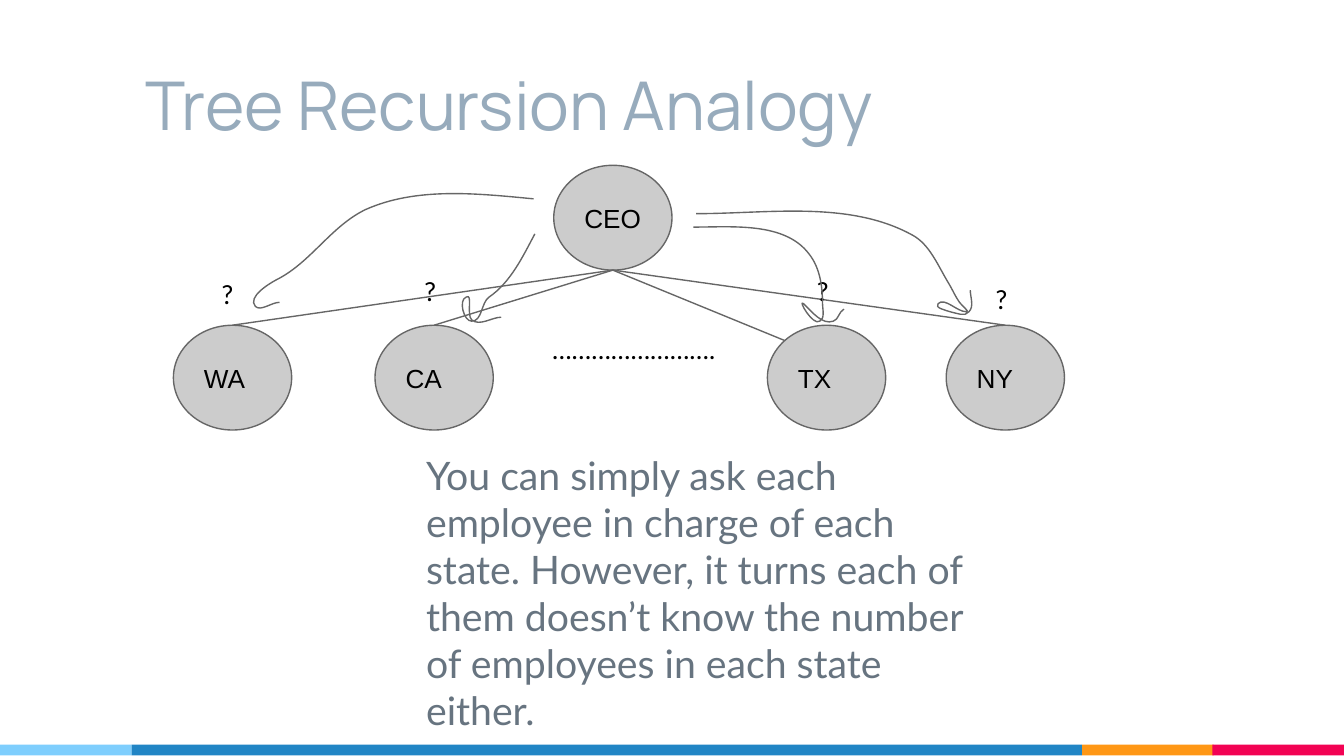
"""Build the tree recursion analogy slide: a CEO node asking four state nodes."""
from dataclasses import dataclass

from lxml import etree
from pptx import Presentation
from pptx import util as u
from pptx.dml.color import RGBColor
from pptx.enum import shapes, text
from pptx.oxml.ns import qn


@dataclass(frozen=True)
class Theme:
    title: str = "97ABBC"
    body: str = "677480"
    ink: str = "000000"
    node: str = "CCCCCC"
    line: str = "666666"
    title_font: str = "Manrope"
    body_font: str = "Lato"
    node_font: str = "Arial"
    title_size: int = 36
    body_size: int = 21
    label_size: int = 14
    line_width: float = 0.75


@dataclass(frozen=True)
class Bar:
    left: float
    width: float
    color: str


@dataclass(frozen=True)
class Node:
    label: str
    left: float
    top: float

    @property
    def center(self) -> float:
        return self.left + NODE_W / 2


@dataclass(frozen=True)
class Label:
    text: str
    left: float
    top: float
    width: float = 0.35
    height: float = 0.41


THEME = Theme()
SLIDE_W = 10
SLIDE_H = SLIDE_W * 9 / 16
NODE_W, NODE_H = 0.88, 0.78
BAR_TOP, BAR_H = 5.54, 0.08
STATE_TOP = 2.42
DIAGONAL = 0.5 ** 0.5

BARS = [
    Bar(8.05, 0.98, "FF9715"),
    Bar(9.02, 0.98, "F20253"),
    Bar(0, 0.98, "7ECEFD"),
    Bar(0.98, 7.07, "2185C5"),
]
CEO = Node("CEO", 4.12, 1.23)
WA, CA, TX, NY = STATES = [
    Node(name, left, STATE_TOP)
    for name, left in [("WA", 1.29), ("CA", 2.79), ("TX", 5.71), ("NY", 7.04)]
]
LABELS = [
    Label("…………………….", 4.01, 2.38, 1.54, 0.51),
    Label("?", 1.55, 1.97),
    Label("?", 3.06, 1.95),
    Label("?", 5.98, 1.95),
    Label("?", 7.31, 2.01),
]
ASK_CURVES = [
    [(3.97, 1.48), (3.55, 1.44), (3.1, 1.39), (2.72, 1.56),
     (2.47, 1.68), (2.32, 1.94), (2.08, 2.07),
     (2, 2.11), (1.84, 2.21), (1.9, 2.28), (1.94, 2.32), (2.02, 2.25), (2.08, 2.25)],
    [(3.98, 1.74), (3.89, 1.91), (3.8, 2.1), (3.64, 2.21),
     (3.58, 2.25), (3.59, 2.39), (3.51, 2.39), (3.45, 2.39), (3.41, 2.23), (3.47, 2.21),
     (3.52, 2.18), (3.47, 2.34), (3.51, 2.38), (3.57, 2.43), (3.66, 2.36), (3.73, 2.36)],
    [(5.16, 1.69), (5.45, 1.69), (5.84, 1.65), (6.02, 1.89),
     (6.1, 1.99), (6.12, 2.13), (6.12, 2.25), (6.12, 2.3), (6.14, 2.37), (6.1, 2.39),
     (6.05, 2.43), (5.93, 2.22), (5.98, 2.26), (6.04, 2.32), (6.12, 2.42), (6.2, 2.39),
     (6.24, 2.38), (6.24, 2.32), (6.28, 2.3)],
    [(5.18, 1.59), (5.72, 1.59), (6.32, 1.49), (6.79, 1.75),
     (6.92, 1.82), (6.98, 1.98), (7.06, 2.11), (7.09, 2.16), (7.11, 2.21), (7.14, 2.25),
     (7.16, 2.28), (7.22, 2.32), (7.19, 2.32), (7.12, 2.32), (7.03, 2.21), (6.98, 2.26),
     (6.95, 2.29), (7.04, 2.31), (7.07, 2.32), (7.12, 2.33), (7.18, 2.36), (7.21, 2.32),
     (7.25, 2.28), (7.22, 2.21), (7.22, 2.16)],
]


def box(left: float, top: float, width: float, height: float) -> list:
    """Return a position and size as lengths."""
    return [u.Inches(v) for v in (left, top, width, height)]


def write(sp, content: str, font: str, size: int, color: str, anchor) -> None:
    """Fill a shape with one left-aligned, formatted paragraph."""
    tf = sp.text_frame
    tf.text = content
    tf.word_wrap = True
    tf.auto_size = text.MSO_AUTO_SIZE.NONE
    tf.vertical_anchor = anchor
    tf.margin_left = tf.margin_right = tf.margin_top = tf.margin_bottom = u.Inches(0.1)
    p = tf.paragraphs[0]
    p.alignment = text.PP_ALIGN.LEFT
    p.space_before = u.Pt(0)
    r = p.runs[0]
    r.font.name, r.font.size = font, u.Pt(size)
    r.font.color.rgb = RGBColor.from_string(color)


def outline(sp) -> None:
    """Give a shape or connector the thin diagram line."""
    sp.line.color.rgb = RGBColor.from_string(THEME.line)
    sp.line.width = u.Pt(THEME.line_width)


def place(sp, left: float, top: float, width: float, height: float) -> None:
    """Move and size a placeholder."""
    sp.left, sp.top, sp.width, sp.height = box(left, top, width, height)


def draw_bar(s, bar: Bar) -> None:
    """Draw one segment of the footer strip."""
    sp = s.shapes.add_shape(shapes.MSO_SHAPE.RECTANGLE, *box(bar.left, BAR_TOP, bar.width, BAR_H))
    sp.shadow.inherit = False
    sp.fill.solid()
    sp.fill.fore_color.rgb = RGBColor.from_string(bar.color)
    sp.line.fill.background()


def draw_node(s, node: Node) -> None:
    """Draw one labelled tree node."""
    sp = s.shapes.add_shape(shapes.MSO_SHAPE.OVAL, *box(node.left, node.top, NODE_W, NODE_H))
    sp.shadow.inherit = False
    sp.fill.solid()
    sp.fill.fore_color.rgb = RGBColor.from_string(THEME.node)
    outline(sp)
    write(sp, node.label, THEME.node_font, THEME.label_size, THEME.ink, text.MSO_ANCHOR.MIDDLE)


def draw_label(s, label: Label) -> None:
    """Draw one free-standing label."""
    sp = s.shapes.add_textbox(*box(label.left, label.top, label.width, label.height))
    write(sp, label.text, THEME.body_font, THEME.label_size, THEME.ink, text.MSO_ANCHOR.TOP)


def draw_branch(s, x: float, y: float) -> None:
    """Draw a tree edge from the bottom of the CEO node."""
    ends = box(CEO.center, CEO.top + NODE_H, x, y)
    sp = s.shapes.add_connector(shapes.MSO_CONNECTOR.STRAIGHT, *ends)
    outline(sp)
    etree.SubElement(sp._element.spPr, qn("a:effectLst"))


def draw_curve(s, points: list[tuple[float, float]]) -> None:
    """Draw a chain of cubic curves through a start point and control triples."""
    start, *rest = [(u.Inches(x), u.Inches(y)) for x, y in points]
    builder = s.shapes.build_freeform(*start)
    builder.add_line_segments(rest, close=False)
    sp = builder.convert_to_shape()
    segments = list(sp._element.iter(qn("a:lnTo")))
    for i in range(0, len(segments), 3):
        cubic = etree.SubElement(segments[i].getparent(), qn("a:cubicBezTo"))
        for segment in segments[i:i + 3]:
            cubic.append(segment[0])
            segment.getparent().remove(segment)
    sp.shadow.inherit = False
    sp.fill.background()
    outline(sp)


def main() -> None:
    """Build and save the slide."""
    prs = Presentation()
    prs.slide_width, prs.slide_height = u.Inches(SLIDE_W), u.Inches(SLIDE_H)
    s = prs.slides.add_slide(prs.slide_layouts[1])
    title, body = s.placeholders
    place(title, 0.98, 0.23, 7.07, 0.94)
    write(title, "Tree Recursion Analogy", THEME.title_font, THEME.title_size,
          THEME.title, text.MSO_ANCHOR.BOTTOM)
    place(body, 3.07, 3.26, 4.27, 2.3)
    write(body, "You can simply ask each employee in charge of each state. However, it turns "
          "each of them doesn’t know the number of employees in each state either.",
          THEME.body_font, THEME.body_size, THEME.body, text.MSO_ANCHOR.TOP)
    pPr = body.text_frame.paragraphs[0]._p.get_or_add_pPr()
    pPr.set("marL", "0")
    pPr.set("indent", "0")
    etree.SubElement(pPr, qn("a:buNone"))
    for bar in BARS:
        draw_bar(s, bar)
    for node in [CEO, *STATES]:
        draw_node(s, node)
    for node in (WA, CA, NY):
        draw_branch(s, node.center, node.top)
    draw_branch(s, TX.center - DIAGONAL * NODE_W / 2, TX.top + (1 - DIAGONAL) * NODE_H / 2)
    for label in LABELS:
        draw_label(s, label)
    for points in ASK_CURVES:
        draw_curve(s, points)
    prs.save("out.pptx")


if __name__ == "__main__":
    main()
